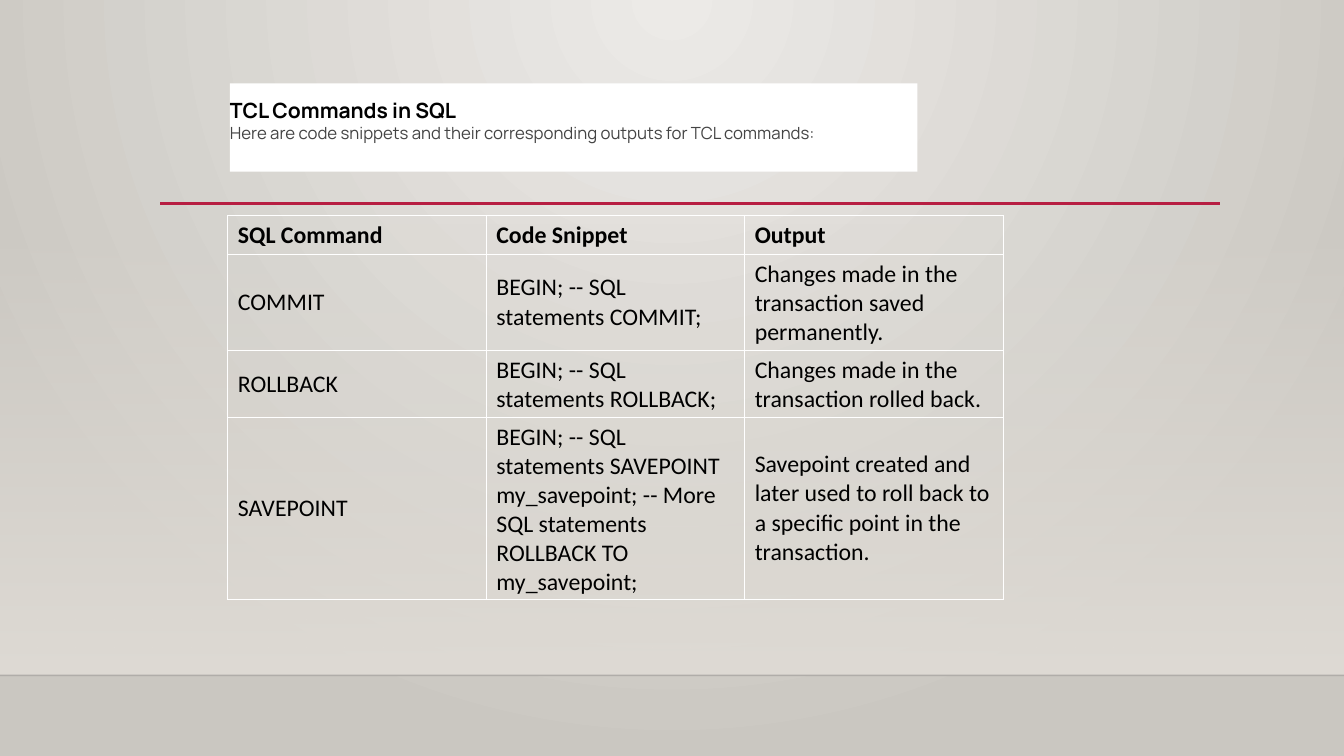
from lxml import etree
from pptx import Presentation
from pptx import util as u
from pptx.dml.color import RGBColor
from pptx.enum import shapes, text
from pptx.oxml import ns

BLACK = RGBColor(0x00, 0x00, 0x00)
WHITE = RGBColor(0xFF, 0xFF, 0xFF)
GREY = RGBColor(0x44, 0x44, 0x44)
RED = RGBColor(0xB7, 0x1E, 0x42)
LIGHT = RGBColor(0xEC, 0xEA, 0xE7)
DARK = RGBColor(0xCA, 0xC7, 0xC1)
FLOOR = RGBColor(0xDF, 0xDB, 0xD5)
FLOOR_LINE = RGBColor(0x00, 0x00, 0x01)

WIDTH, HEIGHT = 13.33, 7.5
FLOOR_TOP, FLOOR_END = 2.21, 6.7
ROW_HEIGHTS = [0.38, 0.94, 0.66, 1.79]
COMMANDS = [
    ("SQL Command", "Code Snippet", "Output"),
    ("COMMIT", "BEGIN; -- SQL statements COMMIT;",
     "Changes made in the transaction saved permanently."),
    ("ROLLBACK", "BEGIN; -- SQL statements ROLLBACK;",
     "Changes made in the transaction rolled back."),
    ("SAVEPOINT",
     "BEGIN; -- SQL statements SAVEPOINT my_savepoint; -- More SQL statements "
     "ROLLBACK TO my_savepoint;",
     "Savepoint created and later used to roll back to a specific point in the transaction."),
]


def add_element(parent, tag, **attributes):
    """Append a drawing element with the given attributes."""
    child = etree.SubElement(parent, ns.qn(tag))
    for name, value in attributes.items():
        child.set(name, str(value))
    return child


def write(para, words, font="Calibri", size=17, colour=BLACK, bold=False):
    """Write one formatted, left-aligned run into a paragraph."""
    para.alignment = text.PP_ALIGN.LEFT
    span = para.add_run()
    span.text = words
    span.font.name = font
    span.font.size = u.Pt(size)
    span.font.color.rgb = colour
    span.font.bold = bold


def set_gradient(fill, start, end):
    """Give a fill a gradient between two colours."""
    fill.gradient()
    for stop, colour in zip(fill.gradient_stops, (start, end)):
        stop.color.rgb = colour


def add_rule(page, left, right, y, colour, weight, opacity=100):
    """Draw a horizontal line across the page."""
    rule = page.shapes.add_connector(
        shapes.MSO_CONNECTOR.STRAIGHT,
        u.Inches(left), u.Inches(y), u.Inches(right), u.Inches(y))
    rule.line.color.rgb = colour
    rule.line.width = u.Pt(weight)
    if opacity < 100:
        tint = rule.line._ln.find(".//" + ns.qn("a:srgbClr"))
        add_element(tint, "a:alpha", val=opacity * 1000)
    add_element(rule._element.spPr, "a:effectLst")


def add_backdrop(page):
    """Paint the radial background, the fading floor and both rules."""
    set_gradient(page.background.fill, LIGHT, DARK)
    gradient = page.element.find(".//" + ns.qn("p:bgPr")).find(ns.qn("a:gradFill"))
    gradient.remove(gradient.find(ns.qn("a:lin")))
    circle = add_element(gradient, "a:path", path="circle")
    add_element(circle, "a:fillToRect", l=43000, t=0, r=43000, b=100000)

    floor = page.shapes.add_shape(
        shapes.MSO_SHAPE.RECTANGLE, 0, u.Inches(FLOOR_TOP),
        u.Inches(WIDTH), u.Inches(FLOOR_END - FLOOR_TOP))
    floor.shadow.inherit = False
    floor.line.fill.background()
    set_gradient(floor.fill, FLOOR, FLOOR)
    floor.fill.gradient_angle = 270
    first_tint = floor._element.spPr.find(".//" + ns.qn("a:srgbClr"))
    add_element(first_tint, "a:alpha", val=0)

    add_rule(page, 0, WIDTH, FLOOR_END, FLOOR_LINE, 1, opacity=20)
    add_rule(page, 1.59, 12.1, 2.02, RED, 2.5)


def add_heading(page, left, top, width, height):
    """Place the title with its introduction on a white panel."""
    title = page.shapes.title
    title.left, title.top = u.Inches(left), u.Inches(top)
    title.width, title.height = u.Inches(width), u.Inches(height)
    title.fill.solid()
    title.fill.fore_color.rgb = WHITE
    frame = title.text_frame
    frame.word_wrap = True
    frame.auto_size = text.MSO_AUTO_SIZE.SHAPE_TO_FIT_TEXT
    frame.vertical_anchor = text.MSO_ANCHOR.MIDDLE
    frame.margin_left = frame.margin_right = frame.margin_top = 0
    frame.margin_bottom = u.Inches(0.14)
    write(frame.paragraphs[0], "TCL Commands in SQL", font="Manrope", size=15, bold=True)
    write(frame.add_paragraph(),
          "Here are code snippets and their corresponding outputs for TCL commands:",
          font="Manrope", size=12, colour=GREY)


def format_cell(cell):
    """Give a cell thin white borders and no fill."""
    properties = cell._tc.get_or_add_tcPr()
    for side in ("a:lnL", "a:lnR", "a:lnT", "a:lnB"):
        border = add_element(properties, side, w=u.Pt(0.75))
        solid = add_element(border, "a:solidFill")
        add_element(solid, "a:srgbClr", val=WHITE)
    cell.fill.background()
    cell.vertical_anchor = text.MSO_ANCHOR.MIDDLE


def add_command_table(page, left, top, width):
    """Add the table of commands with equal columns."""
    columns = len(COMMANDS[0])
    table = page.shapes.add_table(
        len(COMMANDS), columns, u.Inches(left), u.Inches(top),
        u.Inches(width), u.Inches(sum(ROW_HEIGHTS))).table
    table.horz_banding = False
    for column in table.columns:
        column.width = u.Inches(width / columns)
    for index, (row, height) in enumerate(zip(table.rows, ROW_HEIGHTS)):
        row.height = u.Inches(height)
        for cell, words in zip(row.cells, COMMANDS[index]):
            format_cell(cell)
            write(cell.text_frame.paragraphs[0], words, bold=index == 0)


def main():
    """Build and save the deck."""
    deck = Presentation()
    deck.slide_width, deck.slide_height = u.Inches(WIDTH), u.Inches(HEIGHT)
    page = deck.slides.add_slide(deck.slide_layouts[5])
    add_backdrop(page)
    add_command_table(page, 2.26, 2.14, 7.69)
    add_heading(page, 2.28, 0.97, 6.82, 0.59)
    deck.save("out.pptx")


if __name__ == "__main__":
    main()
